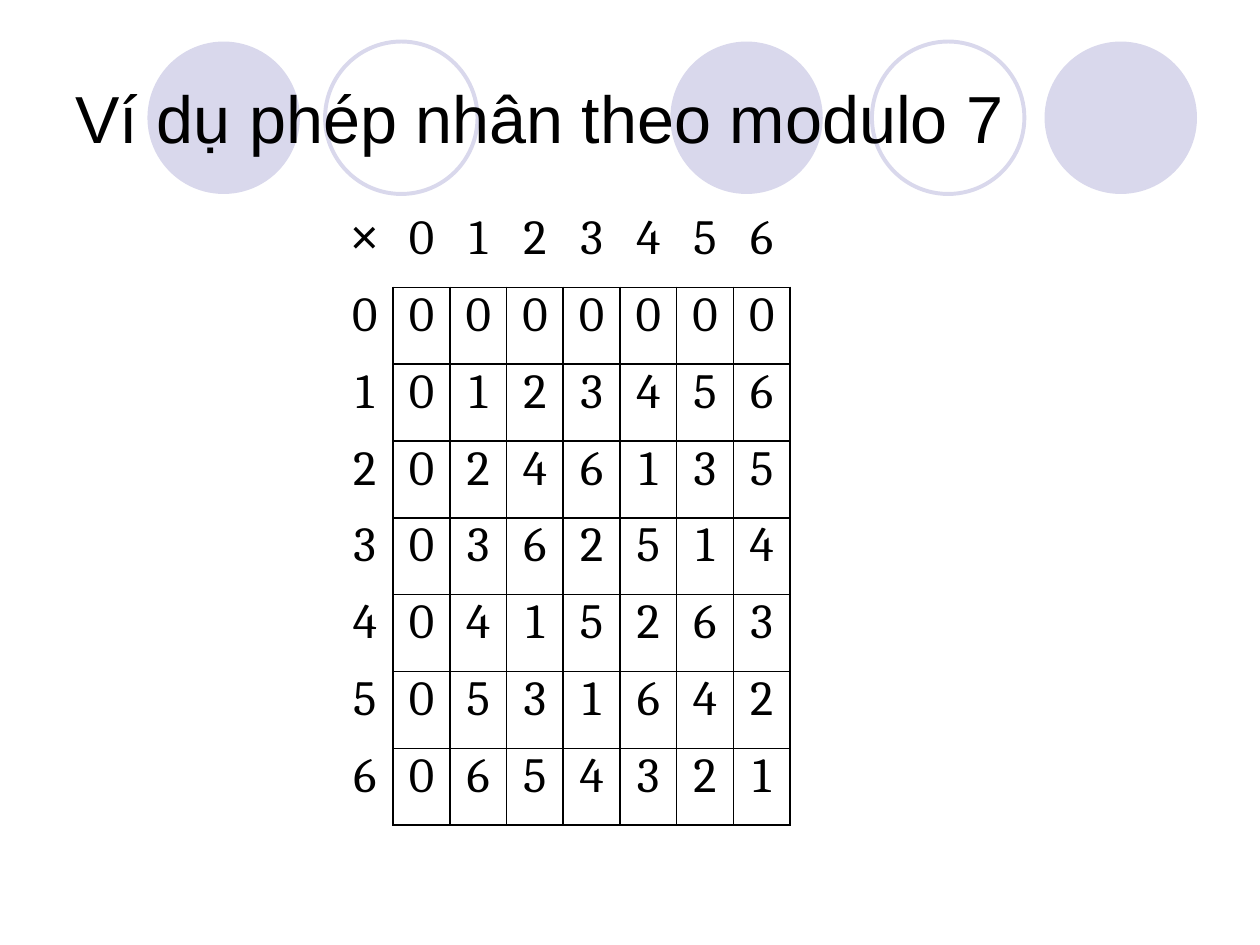
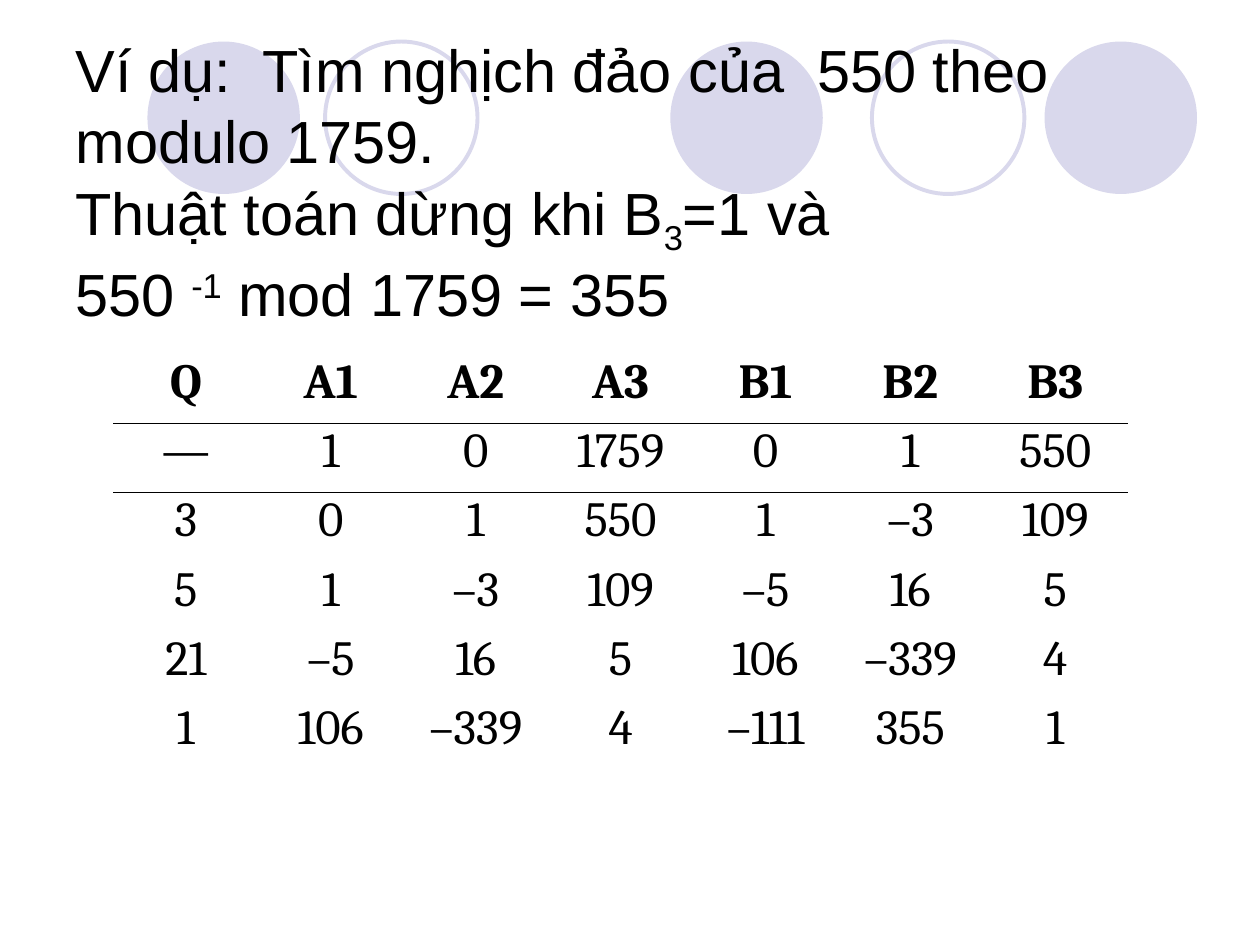
from dataclasses import dataclass
from itertools import product

from lxml import etree
from pptx import Presentation
from pptx.dml.color import RGBColor
from pptx.enum import shapes, text
from pptx.oxml import ns
from pptx.util import Inches, Pt


@dataclass(frozen=True)
class Theme:
    ink: str = "000000"
    tint: str = "D9D8EC"
    sans: str = "Arial"
    serif: str = "Cambria"
    cell: int = 28
    title: int = 38
    small: int = 34
    rule: int = 1
    ring: float = 2.25
    plain: str = "{2D5ABB26-0587-4C30-8999-92F81FD0307C}"


THEME = Theme()
DISCS = [(1.17, True), (2.58, False), (5.32, True), (6.92, False), (8.29, True)]
STEPS = [
    "Q A1 A2 A3 B1 B2 B3",
    "— 1 0 1759 0 1 550",
    "3 0 1 550 1 –3 109",
    "5 1 –3 109 –5 16 5",
    "21 –5 16 5 106 –339 4",
    "1 106 –339 4 –111 355 1",
]


def color(code):
    return RGBColor.from_string(code)


def style(font, size, name):
    font.size, font.name = Pt(size), name
    font.color.rgb = color(THEME.ink)


def add_discs(slide, layout):
    tree = layout.shapes.element
    for index, (left, solid) in enumerate(DISCS):
        disc = slide.shapes.add_shape(
            shapes.MSO_SHAPE.OVAL, Inches(left), Inches(0.33), Inches(1.21), Inches(1.21))
        disc.shadow.inherit = False
        if solid:
            disc.fill.solid()
            disc.fill.fore_color.rgb = color(THEME.tint)
            disc.line.fill.background()
        else:
            disc.fill.background()
            disc.line.color.rgb = color(THEME.tint)
            disc.line.width = Pt(THEME.ring)
        disc.element.nvSpPr.cNvPr.set("id", str(20 + index))
        tree.insert(2 + index, disc.element)


def add_title(slide, lines, size, width, height):
    title = slide.shapes.title
    title.left, title.top = Inches(0.5), Inches(0.3)
    title.width, title.height = Inches(width), Inches(height)
    frame = title.text_frame
    frame.word_wrap = True
    frame.auto_size = text.MSO_AUTO_SIZE.NONE
    frame.vertical_anchor = text.MSO_ANCHOR.MIDDLE
    para = frame.paragraphs[0]
    para.alignment = text.PP_ALIGN.LEFT
    style(para.font, size, THEME.sans)
    for index, line in enumerate(lines):
        if index:
            para.add_line_break()
        for words, shift in line:
            run = para.add_run()
            run.text = words
            style(run.font, size, THEME.sans)
            if shift:
                run._r.get_or_add_rPr().set("baseline", str(shift * 1000))


def add_edges(cell, sides):
    props = cell._tc.get_or_add_tcPr()
    for side in sides:
        line = etree.SubElement(props, ns.qn(f"a:ln{side}"), w=str(Pt(THEME.rule)))
        fill = etree.SubElement(line, ns.qn("a:solidFill"))
        etree.SubElement(fill, ns.qn("a:srgbClr"), val=THEME.ink)


def fill_cell(cell, words, sides, bold=False):
    cell.margin_left = cell.margin_right = Inches(0.05)
    cell.margin_top = cell.margin_bottom = 0
    cell.text = words
    para = cell.text_frame.paragraphs[0]
    para.alignment = text.PP_ALIGN.CENTER
    para.space_before = para.space_after = Pt(3)
    style(para.font, THEME.cell, THEME.sans if words == "×" else THEME.serif)
    para.font.bold = bold
    add_edges(cell, sides)
    cell.fill.background()


def add_grid(slide, rows, left, top, width, heights, edges, bold=False):
    count = len(rows[0])
    table = slide.shapes.add_table(
        len(rows), count, Inches(left), Inches(top),
        Inches(width * count), Inches(sum(heights))).table
    table.first_row = table.horz_banding = False
    table._tbl.tblPr.find(ns.qn("a:tableStyleId")).text = THEME.plain
    for col in table.columns:
        col.width = Inches(width)
    for row, height in zip(table.rows, heights):
        row.height = Inches(height)
    for r, c in product(range(len(rows)), range(count)):
        fill_cell(table.cell(r, c), rows[r][c], edges(r, c), bold and r == 0)


def box_edges(r, c):
    if r and c:
        return "LRTB"
    if r:
        return "R"
    return "B" if c else ""


def head_edges(r, c):
    return {0: "B", 1: "T"}.get(r, "")


def times_rows(base):
    digits = range(base)
    head = ["×", *map(str, digits)]
    return [head] + [[str(a), *(str(a * b % base) for b in digits)] for a in digits]


def add_times(slide):
    add_title(slide, [[("Ví dụ phép nhân theo modulo 7", 0)]], THEME.title, 9, 1.25)
    add_grid(slide, times_rows(7), 2.67, 1.67, 0.45, [0.61] * 8, box_edges)


def add_inverse(slide):
    lines = [
        [("Ví dụ:  Tìm nghịch đảo của  550 theo modulo 1759.", 0)],
        [("Thuật toán dừng khi B", 0), ("3", -25), ("=1 và ", 0)],
        [("550 ", 0), ("-1", 30), (" mod 1759 = 355", 0)],
    ]
    add_title(slide, lines, THEME.small, 9.15, 2.27)
    rows = [step.split() for step in STEPS]
    add_grid(slide, rows, 0.9, 2.81, 1.15, [0.55] * 5 + [1.66], head_edges, bold=True)


def main():
    deck = Presentation()
    deck.slide_width, deck.slide_height = Inches(10), Inches(7.5)
    layout = deck.slide_layouts[5]
    times, inverse = (deck.slides.add_slide(layout) for _ in range(2))
    add_discs(times, layout)
    add_times(times)
    add_inverse(inverse)
    deck.save("out.pptx")


if __name__ == "__main__":
    main()
